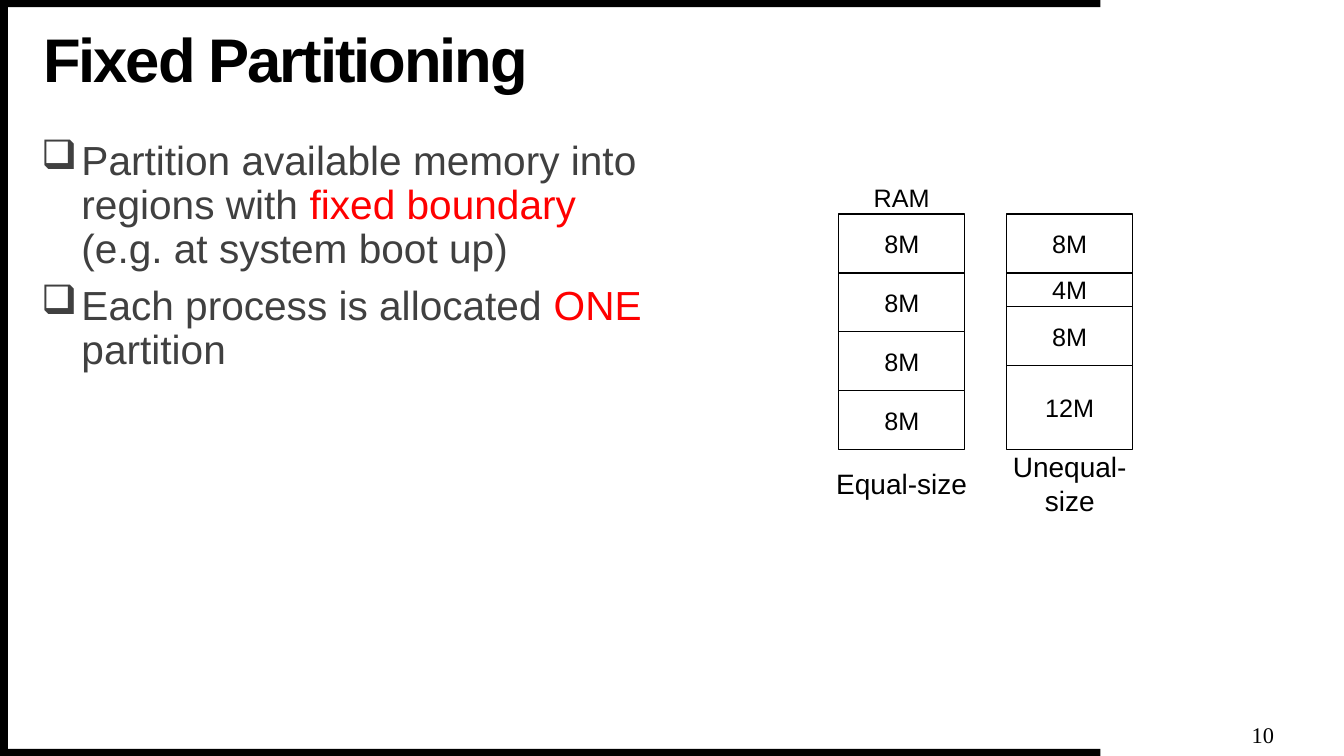
import dataclasses

import lxml.etree
import pptx
import pptx.dml.color
import pptx.enum.shapes
import pptx.enum.text
import pptx.oxml.ns
import pptx.util

COLUMNS, ROWS = 160, 90
CELL = pptx.util.Inches(7.5) / ROWS

BLACK = pptx.dml.color.RGBColor(0x00, 0x00, 0x00)
WHITE = pptx.dml.color.RGBColor(0xFF, 0xFF, 0xFF)
GREY = pptx.dml.color.RGBColor(0x40, 0x40, 0x40)
RED = pptx.dml.color.RGBColor(0xFF, 0x00, 0x00)
CENTER = pptx.enum.text.PP_ALIGN.CENTER
LEFT = pptx.enum.text.PP_ALIGN.LEFT


@dataclasses.dataclass(frozen=True)
class Area:
    """A rectangle in grid columns and rows."""
    column: float
    row: float
    columns: float
    rows: float

    def lengths(self) -> list[int]:
        return [round(CELL * n) for n in (self.column, self.row, self.columns, self.rows)]


@dataclasses.dataclass(frozen=True)
class Partition:
    label: str
    rows: int


@dataclasses.dataclass(frozen=True)
class Memory:
    caption: str
    partitions: list[Partition]


@dataclasses.dataclass(frozen=True)
class Span:
    text: str
    color: pptx.dml.color.RGBColor = GREY


FOUR, EIGHT, TWELVE = Partition("4M", 4), Partition("8M", 7), Partition("12M", 10)
MEMORIES = [
    Memory("Equal-size", [EIGHT] * 4),
    Memory("Unequal-size", [EIGHT, FOUR, EIGHT, TWELVE]),
]
MEMORY_LEFT, MEMORY_TOP, MEMORY_STEP, MEMORY_WIDTH = 99.85, 25.5, 20, 15

FRAME = [
    Area(0, 89.15, 131, 0.85),
    Area(0, 0, 131, 0.85),
    Area(0, 0.4, 0.95, 89.6),
]

BULLETS = [
    [
        Span("Partition available memory into regions with "),
        Span("fixed boundary ", RED),
        Span("(e.g. at system boot up)"),
    ],
    [Span("Each process is allocated "), Span("ONE", RED), Span(" partition")],
]


def add_rectangle(page, area: Area, fill, line=None):
    box = page.shapes.add_shape(pptx.enum.shapes.MSO_SHAPE.RECTANGLE, *area.lengths())
    box.shadow.inherit = False
    box.fill.solid()
    box.fill.fore_color.rgb = fill
    if line is None:
        box.line.fill.background()
    else:
        box.line.color.rgb = line
        box.line.width = pptx.util.Pt(1)
    return box


def set_frame(box, anchor, wrap: bool) -> None:
    frame = box.text_frame
    frame.margin_left = frame.margin_right = frame.margin_top = frame.margin_bottom = 0
    frame.vertical_anchor = anchor
    frame.word_wrap = wrap


def write_line(box, text: str, size: float, font="Arial", align=CENTER):
    """Put one vertically centred black line into a shape."""
    set_frame(box, pptx.enum.text.MSO_ANCHOR.MIDDLE, wrap=align == LEFT)
    para = box.text_frame.paragraphs[0]
    para.text = text
    para.alignment = align
    para.font.size = pptx.util.Pt(size)
    para.font.name = font
    para.font.color.rgb = BLACK
    return para


def add_label(page, area: Area, text: str, size: float, font="Arial", align=CENTER):
    return write_line(page.shapes.add_textbox(*area.lengths()), text, size, font, align)


def add_title(page) -> None:
    para = add_label(page, Area(5.15, 3, 120.7, 8.9), "Fixed Partitioning", 44, align=LEFT)
    para.line_spacing = 0.9
    para.font.bold = True
    para.runs[0].font._element.set("spc", "-150")


def add_bullets(page) -> None:
    box = page.shapes.add_textbox(*Area(4.9, 16.7, 73.2, 61.4).lengths())
    set_frame(box, pptx.enum.text.MSO_ANCHOR.TOP, wrap=True)
    indent = pptx.util.Inches(0.4)
    for index, spans in enumerate(BULLETS):
        para = box.text_frame.add_paragraph() if index else box.text_frame.paragraphs[0]
        para.line_spacing = 0.9
        if index:
            para.space_before = pptx.util.Pt(10)
        properties = para._p.get_or_add_pPr()
        properties.set("marL", str(indent))
        properties.set("indent", str(-indent))
        bullet = lxml.etree.SubElement(properties, pptx.oxml.ns.qn("a:buChar"))
        bullet.set("char", "❑")
        para.font.size = pptx.util.Pt(29)
        para.font.name = "Arial"
        for span in spans:
            run = para.add_run()
            run.text = span.text
            run.font.color.rgb = span.color


def add_memory(page, memory: Memory, left: float) -> None:
    """Stack the partitions from the top and set the caption below."""
    row = MEMORY_TOP
    for partition in memory.partitions:
        area = Area(left, row, MEMORY_WIDTH, partition.rows)
        write_line(add_rectangle(page, area, WHITE, BLACK), partition.label, 18)
        row += partition.rows
    add_label(page, Area(left - 1, row + 2, MEMORY_WIDTH + 2, 4), memory.caption, 20)


def main() -> None:
    deck = pptx.Presentation()
    deck.slide_width = round(CELL * COLUMNS)
    deck.slide_height = round(CELL * ROWS)
    page = deck.slides.add_slide(deck.slide_layouts[6])
    for area in FRAME:
        add_rectangle(page, area, BLACK)
    add_bullets(page)
    add_title(page)
    add_label(page, Area(148.55, 85.6, 3.6, 3.6), "10", 16, "Times New Roman")
    for index, memory in enumerate(MEMORIES):
        add_memory(page, memory, MEMORY_LEFT + index * MEMORY_STEP)
    add_label(page, Area(MEMORY_LEFT + 2, MEMORY_TOP - 4, 11, 4), "RAM", 18)
    deck.save("out.pptx")


if __name__ == "__main__":
    main()
